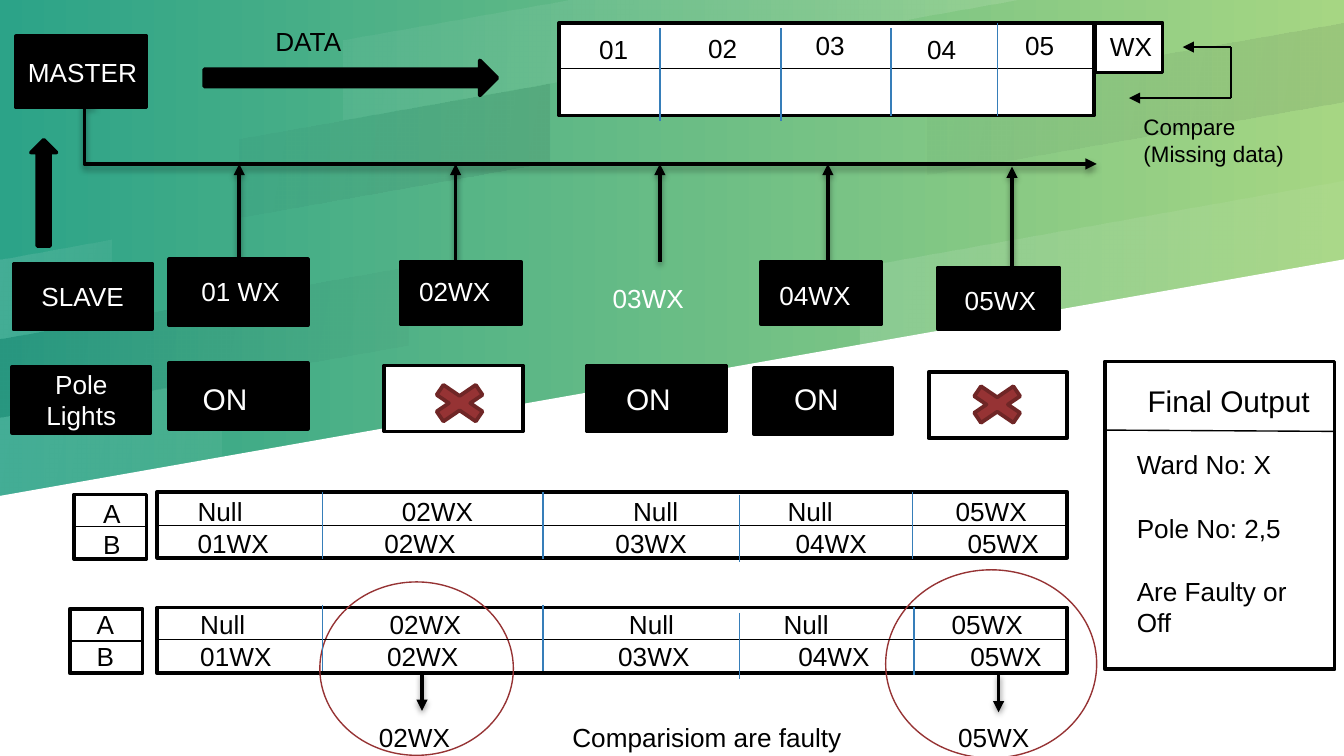
"""Build the pole-light fault detection slide on a grid of tenth-of-an-inch cells."""
from dataclasses import dataclass

from lxml import etree
from pptx import Presentation
from pptx.dml.color import RGBColor
from pptx.enum import shapes, text
from pptx.oxml.ns import qn
from pptx.util import Emu, Inches, Pt

COLUMNS, ROWS = 100, 56.25
BLACK, WHITE, BLUE, RED, DARK_RED = "000000", "FFFFFF", "367EB9", "963334", "6F2626"
NAVY = "00001A"
KIND = shapes.MSO_SHAPE


@dataclass(frozen=True)
class Band:
    """A translucent stripe of the backdrop; alphas are percentages."""
    points: tuple
    colour: str
    alphas: tuple


@dataclass(frozen=True)
class Block:
    """A preset shape placed by column and row."""
    left: float
    top: float
    width: float
    height: float
    fill: str | None = BLACK
    line: str = BLACK
    weight: float = 2
    kind: KIND = KIND.RECTANGLE
    caption: str = ""


@dataclass(frozen=True)
class Stroke:
    """A connector between two grid points."""
    start: tuple
    end: tuple
    colour: str = BLACK
    weight: float = 0.75
    arrow: bool = False
    shadow: bool = False
    bend: int | None = None


@dataclass(frozen=True)
class Label:
    """A text box; each paragraph may have its own tab stops."""
    left: float
    top: float
    width: float
    height: float
    lines: tuple
    colour: str = BLACK
    size: float = 14
    inset: float = 1
    stops: tuple = ()
    gap: float = 0
    wrap: bool = True


def cells(count: float) -> Emu:
    """Convert grid cells to a length."""
    return Inches(round(count / 10, 4))


def hue(code: str) -> RGBColor:
    """Turn a hex string into a colour."""
    return RGBColor.from_string(code)


def paint_gradient(fill, colours: tuple, angle: float) -> None:
    """Give a fill a two-stop linear gradient."""
    fill.gradient()
    fill.gradient_angle = angle
    for stop, colour in zip(fill.gradient_stops, colours):
        stop.color.rgb = hue(colour)


def slant(left: float, right: float, low: float, high: float) -> tuple:
    """Return the corners of a stripe rising to the right."""
    depth = 5.88
    return (left, low), (left, low + depth), (right, high + depth), (right, high)


def write_span(para, words: str, size: float, colour: str) -> None:
    """Add one formatted run."""
    span = para.add_run()
    span.text = words
    span.font.name = "Arial"
    span.font.size = Pt(size)
    span.font.color.rgb = hue(colour)


def draw_band(page, band: Band) -> None:
    """Draw a backdrop polygon."""
    points = [(cells(x), cells(y)) for x, y in band.points]
    builder = page.shapes.build_freeform(*points[0], scale=1.0)
    builder.add_line_segments(points[1:], close=True)
    shape = builder.convert_to_shape()
    shape.shadow.inherit = False
    shape.line.fill.background()
    if not band.alphas:
        shape.fill.solid()
        shape.fill.fore_color.rgb = hue(band.colour)
        return
    paint_gradient(shape.fill, (band.colour, band.colour), 350)
    for colour, alpha in zip(shape._element.spPr.iter(qn("a:srgbClr")), band.alphas):
        etree.SubElement(colour, qn("a:alpha"), val=str(alpha * 1000))


def draw_block(page, block: Block) -> None:
    """Draw a preset shape with its optional caption."""
    spot = map(cells, (block.left, block.top, block.width, block.height))
    shape = page.shapes.add_shape(block.kind, *spot)
    shape.shadow.inherit = False
    if block.fill:
        shape.fill.solid()
        shape.fill.fore_color.rgb = hue(block.fill)
    else:
        shape.fill.background()
    shape.line.color.rgb = hue(block.line)
    shape.line.width = Pt(block.weight)
    if block.caption:
        shape.text_frame.word_wrap = True
        shape.text_frame.vertical_anchor = text.MSO_ANCHOR.MIDDLE
        para = shape.text_frame.paragraphs[0]
        para.alignment = text.PP_ALIGN.CENTER
        write_span(para, block.caption, 14, WHITE)


def draw_stroke(page, stroke: Stroke) -> None:
    """Draw a line, arrow or bent arrow."""
    route = shapes.MSO_CONNECTOR.STRAIGHT if stroke.bend is None else shapes.MSO_CONNECTOR.ELBOW
    connector = page.shapes.add_connector(route, *map(cells, stroke.start + stroke.end))
    connector.line.color.rgb = hue(stroke.colour)
    connector.line.width = Pt(stroke.weight)
    style = connector._element.spPr
    if stroke.bend is not None:
        guides = style.find(qn("a:prstGeom")).find(qn("a:avLst"))
        etree.SubElement(guides, qn("a:gd"), name="adj1", fmla=f"val {stroke.bend}")
    if stroke.arrow:
        etree.SubElement(style.find(qn("a:ln")), qn("a:tailEnd"), type="triangle")
    effects = etree.SubElement(style, qn("a:effectLst"))
    if stroke.shadow:
        shade = etree.SubElement(effects, qn("a:outerShdw"), blurRad=str(Pt(3.1)),
                                 dist=str(Pt(1.6)), dir="5400000", rotWithShape="0")
        colour = etree.SubElement(shade, qn("a:srgbClr"), val=BLACK)
        etree.SubElement(colour, qn("a:alpha"), val="38000")


def draw_label(page, label: Label) -> None:
    """Draw a text box, aligning its columns with tab stops."""
    box = page.shapes.add_textbox(*map(cells, (label.left, label.top, label.width, label.height)))
    frame = box.text_frame
    frame.word_wrap = label.wrap
    frame.auto_size = text.MSO_AUTO_SIZE.SHAPE_TO_FIT_TEXT
    frame.margin_left = cells(label.inset)
    for index, words in enumerate(label.lines):
        para = frame.add_paragraph() if index else frame.paragraphs[0]
        if index and label.gap:
            para.space_before = Pt(label.gap)
        if label.stops:
            tabs = etree.SubElement(para._p.get_or_add_pPr(), qn("a:tabLst"))
            for stop in label.stops[index]:
                etree.SubElement(tabs, qn("a:tab"), pos=str(cells(stop)), algn="l")
        write_span(para, words, label.size, label.colour)


def heavy_arrow(start: tuple, end: tuple, bend: int | None = None) -> Stroke:
    """Describe a thick shadowed arrow."""
    return Stroke(start, end, weight=2, arrow=True, shadow=True, bend=bend)


def column_rules(columns: tuple) -> list[Stroke]:
    """Describe blue dividers given as column, top and bottom."""
    return [Stroke((x, top), (x, bottom), BLUE) for x, top, bottom in columns]


BANDS = [
    Band(((0, ROWS), (100, ROWS), (100, 19.3), (0, 36.9)), WHITE, ()),
    Band(slant(0, 16.5, 31.1, 28.1), WHITE, (12, 5)),
    Band(slant(64, 100, 19.8, 13.4), WHITE, (12, 5)),
    Band(slant(0, 30.4, 25.2, 19.8), NAVY, (8, 2)),
    Band(slant(0, 8.3, 19.3, 17.8), WHITE, (12, 5)),
    Band(slant(69, 100, 7.1, 1.7), NAVY, (2, 8)),
    Band(slant(17.8, 40.9, 10.3, 6.2), NAVY, (2, 8)),
    Band(((42.6, 0), (25.6, 3), (25.6, 8.9), (76, 0)), WHITE, (5, 12)),
]
ARROWS = [heavy_arrow((7.1, 7.8), (81.6, 12.2), bend=-1070)]
ARROWS += [heavy_arrow((x, 19.5), (x, 12.2)) for x in (17.8, 33.9, 49.1, 61.6)]
ARROWS += [heavy_arrow((75.3, 20), (75.3, 12.4))]
ARROWS += [heavy_arrow((x, y), (x, y + 2.8)) for x, y in ((31.4, 50.1), (74.3, 50.2))]

BLOCKS = [Block(x, y, 9, 4.6) for x, y in ((29.8, 19.5), (56.6, 19.5), (69.8, 19.9))]
BLOCKS += [Block(x, y, 10.3, 4.9, fill) for x, y, fill in (
    (12.6, 19.3, BLACK), (12.6, 27, BLACK), (43.7, 27.2, BLACK),
    (56.1, 27.4, BLACK), (69.1, 27.7, WHITE), (28.6, 27.2, WHITE))]
BLOCKS += [Block(x, y, 10.3, 4.9, caption=words) for x, y, words in (
    (1, 19.6, "SLAVE"), (0.9, 27.3, "Pole Lights"))]
BLOCKS += [Block(*spot, fill=WHITE) for spot in (
    (41.6, 1.7, 39.8, 6.9), (81.5, 1.7, 5, 3.7), (82.2, 26.9, 17.1, 22.9),
    (11.7, 36.6, 67.7, 4.9), (11.7, 45.2, 67.7, 4.9),
    (5.5, 36.8, 5.4, 4.8), (5.2, 45.3, 5.4, 4.8))]
BLOCKS += [Block(1.2, 2.7, 9.7, 5.3),
           Block(15.2, 4.5, 21.8, 2.6, kind=KIND.RIGHT_ARROW),
           Block(2.3, 10.4, 1.9, 7.9, kind=KIND.UP_ARROW)]
BLOCKS += [Block(x, y, 5.6, 3.8, RED, DARK_RED, kind=KIND.MATH_MULTIPLY)
           for x, y in ((31.4, 28.1), (71.4, 28.2))]
BLOCKS += [Block(*spot, fill=None, line=RED, weight=0.75, kind=KIND.OVAL)
           for spot in ((23.8, 43.3, 14.4, 12.9), (65.9, 42.4, 15.7, 14))]

RULES = [Stroke((left, y), (right, y)) for left, right, y in (
    (41.6, 81.5, 5.1), (11.7, 79.4, 39.1), (11.7, 79.4, 47.6),
    (5.5, 10.9, 39.2), (5.2, 10.7, 47.7))]
RULES += column_rules((
    (49.1, 2.1, 9), (58.1, 2.1, 9), (66.3, 2.1, 8.6), (74.2, 1.7, 8.6),
    (24, 36.6, 41.6), (40.4, 36.6, 41.6), (55, 36.8, 41.8), (67.9, 36.6, 41.6),
    (24, 45, 49.9), (40.4, 45, 49.9), (55, 45.6, 50.5), (68, 45.2, 50.2)))
RULES += [Stroke((82.2, 32), (99.3, 32.1)), Stroke((91.6, 3.5), (91.6, 7.3)),
          Stroke((91.6, 3.5), (88, 3.5), arrow=True), Stroke((91.6, 7.3), (84, 7.3), arrow=True)]

RECORDS = ("Null\t02WX\tNull\tNull\t05WX", "01WX\t02WX\t03WX\t04WX\t05WX")
SENT_STOPS = (13.9, 31.1, 44.5, 57.3)
LABELS = [Label(x, y, 10, 3.4, (words,), WHITE) for x, y, words in (
    (44.6, 20.5, "03WX"), (57, 20.3, "04WX"), (14, 20, "01 WX"), (70.8, 20.7, "05WX"))]
LABELS += [Label(x, y, 10, 3.4, (words,)) for x, y, words in (
    (43.6, 2, "01"), (51.7, 1.9, "02"), (59.7, 1.7, "03"), (68, 2, "04"), (75.3, 1.7, "05"),
    (81.6, 1.8, "WX"), (19.5, 1.4, "DATA"))]
LABELS += [Label(x, y, 10, 5.7, ("A", "B")) for x, y in ((6.7, 36.5), (6.2, 44.8))]
LABELS += [Label(x, y, 67.9, 5.7, RECORDS, inset=2.1, stops=(null_stops, SENT_STOPS))
           for x, y, null_stops in ((12.6, 36.4, (15.2, 32.4, 43.9, 56.4)),
                                    (12.8, 44.8, (14.1, 31.9, 43.4, 55.9)))]
LABELS += [
    Label(30.2, 20, 7.4, 3.4, ("02WX",), WHITE, wrap=False),
    Label(1.1, 3.7, 14, 3.4, ("MASTER",), WHITE),
    Label(84.1, 7.9, 13, 5, ("Compare", "(Missing data)"), size=12),
    Label(27.2, 53.2, 56.9, 3.4, ("02WX\tComparisiom are faulty\t05WX",), stops=((14.4, 43.1),)),
    Label(83.6, 32.9, 15.5, 15.1, ("Ward No: X", "Pole No: 2,5", "Are Faulty or Off"), gap=17),
    Label(84.4, 28, 16.5, 3.7, ("Final Output",), size=16),
    Label(14.1, 27.8, 69.2, 3.7, ("ON\tON\tON",), WHITE, 16, stops=((31.5, 44),)),
]


def main() -> None:
    """Compose the slide and save the deck."""
    deck = Presentation()
    deck.slide_width, deck.slide_height = cells(COLUMNS), cells(ROWS)
    page = deck.slides.add_slide(deck.slide_layouts[6])
    paint_gradient(page.background.fill, ("2CA388", "A6D683"), 0)
    for draw, items in ((draw_band, BANDS), (draw_stroke, ARROWS), (draw_block, BLOCKS),
                        (draw_stroke, RULES), (draw_label, LABELS)):
        for item in items:
            draw(page, item)
    deck.save("out.pptx")


if __name__ == "__main__":
    main()
